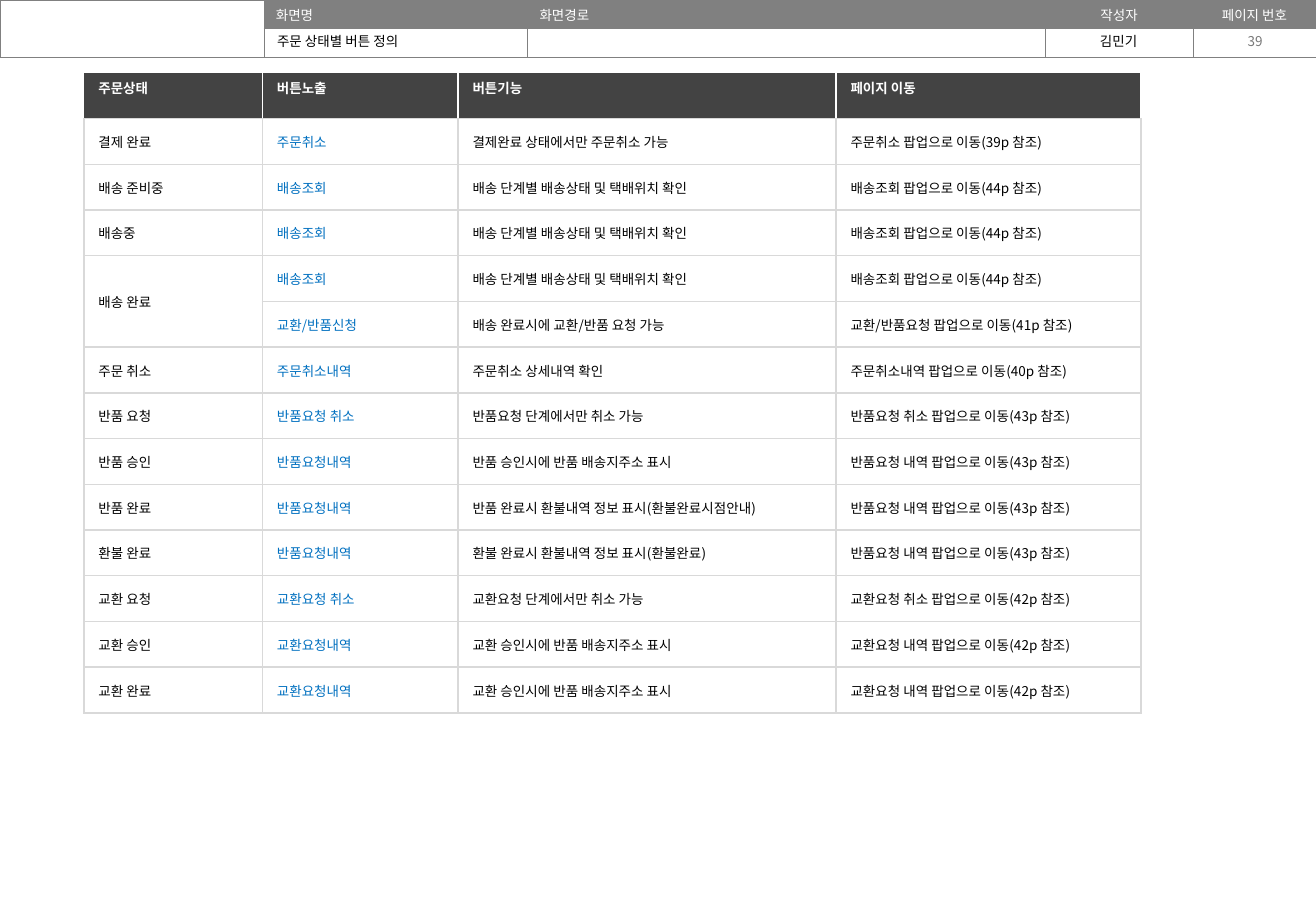
from pptx import Presentation, util as u
from pptx.dml.color import RGBColor
from pptx.enum import text
from pptx.oxml import xmlchemy as xml

FONT = "Noto Sans CJK KR"
WHITE, BLACK, BLUE = "FFFFFF", "000000", "0070C0"
GRAY, CHARCOAL, SILVER, PAGE_GRAY = "808080", "434343", "D9D9D9", "797979"
LEFT, CENTER = text.PP_ALIGN.LEFT, text.PP_ALIGN.CENTER
TOP, MIDDLE = text.MSO_ANCHOR.TOP, text.MSO_ANCHOR.MIDDLE


def color(value):
    return RGBColor.from_string(value)


def apply(target, values):
    for key, value in values.items():
        setattr(target, key, value)


class Screen:
    def __init__(self, width, height):
        self.deck = Presentation()
        self.width, self.height = u.Inches(width), u.Inches(height)
        apply(self.deck, {"slide_width": self.width, "slide_height": self.height})
        self.slide = self.deck.slides.add_slide(self.deck.slide_layouts[5])

    def across(self, percent):
        return round(self.width * percent / 100)

    def down(self, percent):
        return round(self.height * percent / 100)

    def area(self, left, top, width, height):
        return self.across(left), self.down(top), self.across(width), self.down(height)

    def put_words(self, frame, words, ink, align=LEFT, bold=False):
        paragraph = frame.paragraphs[0]
        paragraph.alignment = align
        if not words:
            end = xml.OxmlElement("a:endParaRPr")
            end.set("sz", "800")
            paragraph._p.append(end)
            return
        run = paragraph.add_run()
        run.text = words
        apply(run.font, {"size": u.Pt(8), "bold": bold, "name": FONT})
        run.font.color.rgb = color(ink)
        east_asian = xml.OxmlElement("a:ea")
        east_asian.set("typeface", FONT)
        run._r.get_or_add_rPr().append(east_asian)

    def label(self, words, area, ink, align, anchor):
        self.fill_label(self.slide.shapes.add_textbox(*self.area(*area)), words, ink, align, anchor)

    def title(self, words, area):
        title = self.slide.shapes.title
        places = zip(("left", "top", "width", "height"), self.area(*area))
        apply(title, dict(places))
        self.fill_label(title, words, BLACK, LEFT, TOP)

    def fill_label(self, shape, words, ink, align, anchor):
        apply(shape.text_frame, {
            "word_wrap": True, "vertical_anchor": anchor,
            "auto_size": text.MSO_AUTO_SIZE.NONE,
            "margin_left": u.Inches(0.1), "margin_right": u.Inches(0.1),
            "margin_top": u.Inches(0.05), "margin_bottom": u.Inches(0.05),
        })
        self.put_words(shape.text_frame, words, ink, align)

    def table(self, left, top, columns, row_height, row_count):
        area = self.area(left, top, sum(columns), row_height * row_count)
        table = self.slide.shapes.add_table(row_count, len(columns), *area).table
        apply(table, {"first_row": False, "horz_banding": False})
        for column, width in zip(table.columns, columns):
            column.width = self.across(width)
        for row in table.rows:
            row.height = self.down(row_height)
        return table

    def cell(self, cell, words, ink, borders, inset, fill=None, anchor=TOP, align=LEFT, bold=False):
        side, edge = map(u.Inches, inset)
        apply(cell, {
            "margin_left": side, "margin_right": side,
            "margin_top": edge, "margin_bottom": edge, "vertical_anchor": anchor,
        })
        if fill:
            cell.fill.solid()
            cell.fill.fore_color.rgb = color(fill)
        else:
            cell.fill.background()
        properties = cell._tc.get_or_add_tcPr()
        for index, side_name in enumerate("LRTB"):
            ink_value, points = borders[side_name]
            line = xml.OxmlElement(f"a:ln{side_name}")
            line.set("w", str(u.Pt(points)))
            solid, paint = xml.OxmlElement("a:solidFill"), xml.OxmlElement("a:srgbClr")
            paint.set("val", ink_value)
            solid.append(paint)
            line.append(solid)
            properties.insert(index, line)
        self.put_words(cell.text_frame, words, ink, align, bold)


BANNER = ["", "화면명", "화면경로", "작성자", "페이지 번호"]
HEADINGS = ["주문상태", "버튼노출", "버튼기능", "페이지 이동"]
TRACKING = ("배송조회", "배송 단계별 배송상태 및 택배위치 확인", "배송조회", 44)
ORDERS = [
    ("결제 완료", "주문취소", "결제완료 상태에서만 주문취소 가능", "주문취소", 39),
    ("배송 준비중", *TRACKING),
    ("배송중", *TRACKING),
    ("배송 완료", *TRACKING),
    ("", "교환/반품신청", "배송 완료시에 교환/반품 요청 가능", "교환/반품요청", 41),
    ("주문 취소", "주문취소내역", "주문취소 상세내역 확인", "주문취소내역", 40),
    ("반품 요청", "반품요청 취소", "반품요청 단계에서만 취소 가능", "반품요청 취소", 43),
    ("반품 승인", "반품요청내역", "반품 승인시에 반품 배송지주소 표시", "반품요청 내역", 43),
    ("반품 완료", "반품요청내역", "반품 완료시 환불내역 정보 표시(환불완료시점안내)", "반품요청 내역", 43),
    ("환불 완료", "반품요청내역", "환불 완료시 환불내역 정보 표시(환불완료)", "반품요청 내역", 43),
    ("교환 요청", "교환요청 취소", "교환요청 단계에서만 취소 가능", "교환요청 취소", 42),
    ("교환 승인", "교환요청내역", "교환 승인시에 반품 배송지주소 표시", "교환요청 내역", 42),
    ("교환 완료", "교환요청내역", "교환 승인시에 반품 배송지주소 표시", "교환요청 내역", 42),
]


def main():
    screen = Screen(10.83, 7.5)

    banner = screen.table(0, 0, [20.04, 20.04, 39.34, 11.26, 9.32], 3.13, 2)
    banner_borders = dict.fromkeys("LRTB", (GRAY, 0.25))
    for column, heading in enumerate(BANNER):
        align = CENTER if column > 2 else LEFT
        for row, words in enumerate((heading, "")):
            fill = GRAY if words else None
            screen.cell(banner.cell(row, column), words, WHITE, banner_borders, (0.1, 0.03),
                        fill=fill, anchor=MIDDLE, align=align)
    banner.cell(0, 0).merge(banner.cell(1, 0))

    screen.label("김민기", (79.32, 2.93, 11.36, 3.2), BLACK, CENTER, TOP)
    screen.label("39", (90.77, 2.93, 9.23, 3.2), PAGE_GRAY, CENTER, MIDDLE)

    orders = screen.table(6.37, 8, [13.57, 14.87, 28.72, 23.18], 5.02, len(ORDERS) + 1)
    order_borders = dict.fromkeys("LRTB", (SILVER, 1))
    heading_borders = {**dict.fromkeys("LRT", (WHITE, 0.75)), "B": (SILVER, 1)}
    inset = (0.12, 0.04)
    for column, heading in enumerate(HEADINGS):
        screen.cell(orders.cell(0, column), heading, WHITE, heading_borders, inset,
                    fill=CHARCOAL, bold=True)
    for row, (status, button, purpose, popup, page) in enumerate(ORDERS, 1):
        destination = f"{popup} 팝업으로 이동({page}p 참조)"
        for column, words in enumerate((status, button, purpose, destination)):
            ink = BLUE if column == 1 else BLACK
            screen.cell(orders.cell(row, column), words, ink, order_borders, inset, anchor=MIDDLE)
        if not status:
            orders.cell(row - 1, 0).merge(orders.cell(row, 0))

    screen.title("주문 상태별 버튼 정의", (20.13, 2.93, 19.85, 3.2))
    screen.deck.save("out.pptx")


if __name__ == "__main__":
    main()
